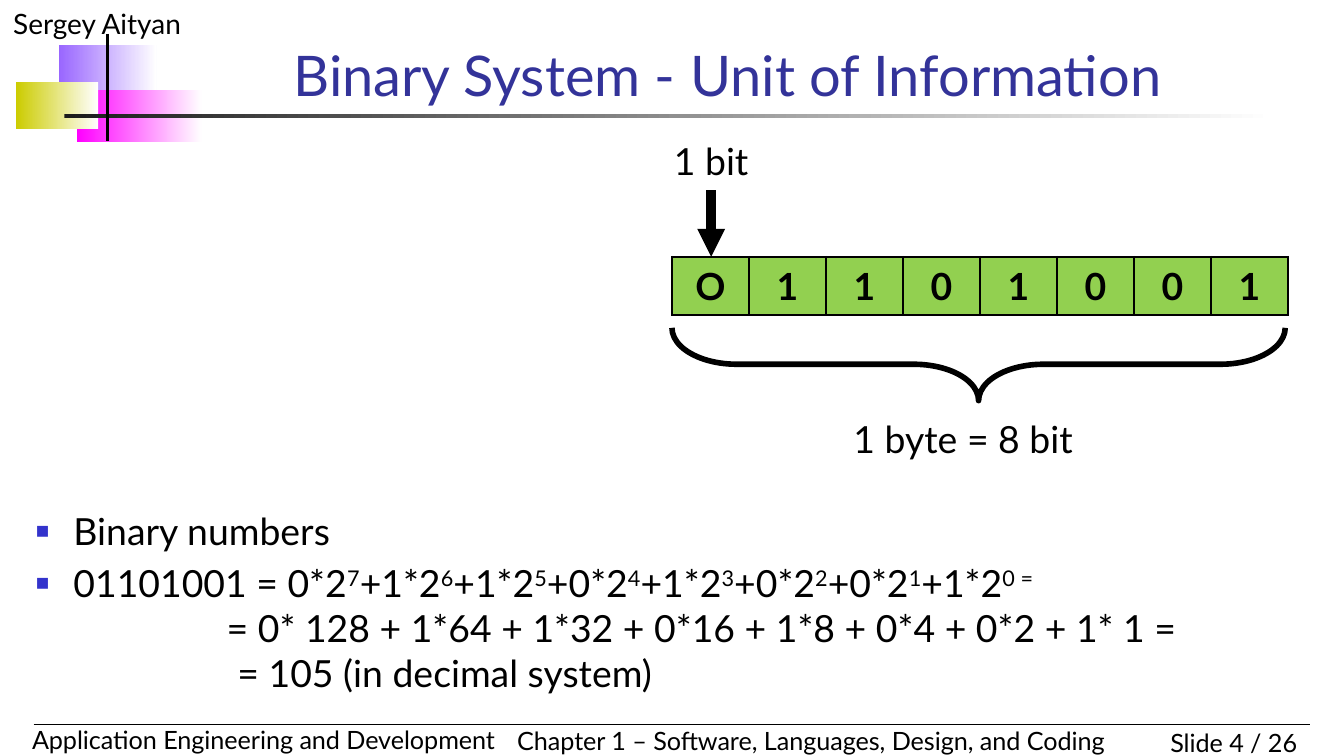
import pptx
import pptx.dml.color
import pptx.enum.shapes
import pptx.enum.text
import pptx.oxml
import pptx.oxml.ns
import pptx.util
from lxml import etree

color = pptx.dml.color.RGBColor.from_string
qn = pptx.oxml.ns.qn
Align = pptx.enum.text.PP_ALIGN
Shape = pptx.enum.shapes.MSO_SHAPE

presentation = pptx.Presentation()
presentation.slide_width = pptx.util.Inches(10)
presentation.slide_height = pptx.util.Inches(5.625)
slide = presentation.slides.add_slide(presentation.slide_layouts[1])
shapes = slide.shapes

# The slide is a grid of 48 columns by 27 rows of square cells
cell_size = presentation.slide_width / 48


def grid(*lengths):
    return [round(length * cell_size) for length in lengths]


def add_run(paragraph, text, size, ink="000000", bold=False, raised=False):
    run = paragraph.add_run()
    run.text = text
    run.font.name = "Lato"
    run.font.size = pptx.util.Pt(size)
    run.font.bold = bold
    run.font.color.rgb = color(ink)
    if raised:
        run.font._element.set("baseline", "30000")


# Gradient blocks and the rule under the title
for box, ink in [
    ((2.1, 1.6, 3.5, 1.87), "9966FF"),
    ((2.75, 3.2, 4.45, 1.87), "FF00FF"),
    ((0.58, 2.93, 2.93, 1.68), "CCCC00"),
    ((2.3, 4.08, 43.2, 0.14), "1C1C1C"),
]:
    block = shapes.add_shape(Shape.RECTANGLE, *grid(*box))
    block.shadow.inherit = False
    block.line.fill.background()
    block.fill.gradient()
    block.fill.gradient_angle = 0
    for stop, position, stop_ink in zip(block.fill.gradient_stops, (0, 1), (ink, "FFFFFF")):
        stop.position = position
        stop.color.rgb = color(stop_ink)

# Header, footer and diagram labels
labels = {}
for text, box, size, alignment, wrap in [
    ("Sergey Aityan", (0, 0, 10, 1.68), 15, Align.LEFT, True),
    ("Slide 4 / 26", (39.6, 25.73, 7.2, 1.58), 13.5, Align.RIGHT, True),
    ("Application Engineering and Development", (0.67, 25.63, 19.35, 1.58), 13.5, Align.LEFT, True),
    ("Chapter 1 – Software, Languages, Design, and Coding", (18, 25.68, 22.8, 1.58), 13.5, Align.LEFT, False),
    ("1 bit", (22.8, 4.7, 5.2, 2.1), 20, Align.CENTER, True),
    ("1 byte = 8 bit", (28.8, 14.64, 11.2, 2.1), 20, Align.CENTER, True),
]:
    label = shapes.add_textbox(*grid(*box))
    label.text_frame.word_wrap = wrap
    label.text_frame.paragraphs[0].alignment = alignment
    add_run(label.text_frame.paragraphs[0], text, size)
    labels[text] = label

# Title
title = shapes.title
title.left, title.top, title.width, title.height = grid(10, 1.5, 36, 2.58)
title.text_frame.vertical_anchor = pptx.enum.text.MSO_ANCHOR.BOTTOM
title.text_frame.auto_size = pptx.enum.text.MSO_AUTO_SIZE.NONE
title.text_frame.paragraphs[0].alignment = Align.LEFT
add_run(title.text_frame.paragraphs[0], "Binary System - Unit of Information", 30, "333399")

# Body: each line is a list of (text, raised) runs
bits = "01101001"
expansion = [(bits + " = ", False)]
for index, bit in enumerate(bits):
    power = len(bits) - 1 - index
    expansion.append((("+" if index else "") + bit + "*2", False))
    expansion.append((str(power) if power else "0 =", True))

body = slide.placeholders[1]
body.left, body.top, body.width, body.height = grid(0.8, 17.9, 46.4, 3.3)
body.text_frame.auto_size = pptx.enum.text.MSO_AUTO_SIZE.NONE
for number, (runs, margin, bulleted) in enumerate([
    ([("Binary numbers", False)], 0.28, True),
    (expansion, 0.28, True),
    ([("= 0* 128 + 1*64 + 1*32 + 0*16 + 1*8 + 0*4 + 0*2 + 1* 1 =", False)], 1.42, False),
    ([("= 105 (in decimal system)", False)], 1.5, False),
]):
    paragraph = body.text_frame.paragraphs[0] if number == 0 else body.text_frame.add_paragraph()
    paragraph.space_before = pptx.util.Pt(4 if bulleted else 0)
    properties = paragraph._p.get_or_add_pPr()
    properties.set("marL", str(pptx.util.Inches(margin)))
    properties.set("indent", str(pptx.util.Inches(-0.28 if bulleted else 0)))
    if bulleted:
        bullet_color = etree.SubElement(properties, qn("a:buClr"))
        etree.SubElement(bullet_color, qn("a:srgbClr"), val="3333CC")
        etree.SubElement(properties, qn("a:buSzPct"), val="60000")
        etree.SubElement(properties, qn("a:buChar"), char="■")
    else:
        etree.SubElement(properties, qn("a:buNone"))
    for text, raised in runs:
        add_run(paragraph, text, 20, raised=raised)

# Table with the eight bits of the byte
table = shapes.add_table(1, 8, *grid(24, 9.17, 22, 2.08)).table
for index, text in enumerate("O1101001"):
    cell = table.cell(0, index)
    cell.fill.solid()
    cell.fill.fore_color.rgb = color("92D050")
    cell.text_frame.paragraphs[0].alignment = Align.CENTER
    add_run(cell.text_frame.paragraphs[0], text, 20, bold=True)
    cell_properties = cell._tc.get_or_add_tcPr()
    for position, side in enumerate(("a:lnL", "a:lnR", "a:lnT", "a:lnB")):
        border = pptx.oxml.parse_xml(
            f'<{side} xmlns:a="http://schemas.openxmlformats.org/drawingml/2006/main" w="12700">'
            f'<a:solidFill><a:srgbClr val="000000"/></a:solidFill></{side}>'
        )
        cell_properties.insert(position, border)

# Footer rule, header stroke and the arrow from the bit label to its cell
for ends, width, start_label in [
    ((1.2, 25.87, 46.8, 25.87), 0.75, None),
    ((3.84, 1.2, 3.84, 5.04), 2, None),
    ((25.4, 6.8, 25.4, 9.17), 5, "1 bit"),
]:
    line = shapes.add_connector(pptx.enum.shapes.MSO_CONNECTOR.STRAIGHT, *grid(*ends))
    line.line.color.rgb = color("000000")
    line.line.width = pptx.util.Pt(width)
    if start_label:
        line.begin_connect(labels[start_label], 2)
        etree.SubElement(line.line._get_or_add_ln(), qn("a:tailEnd"), type="triangle")
    etree.SubElement(line._element.spPr, qn("a:effectLst"))

# Brace that gathers the bits into a byte
brace = shapes.add_shape(Shape.LEFT_BRACE, *grid(33.65, 2.06, 2.6, 21.9))
brace.rotation = 270
brace.adjustments[0] = 0.89
brace.adjustments[1] = 0.5
brace.shadow.inherit = False
brace.fill.background()
brace.line.color.rgb = color("000000")
brace.line.width = pptx.util.Pt(3)

presentation.save("out.pptx")
